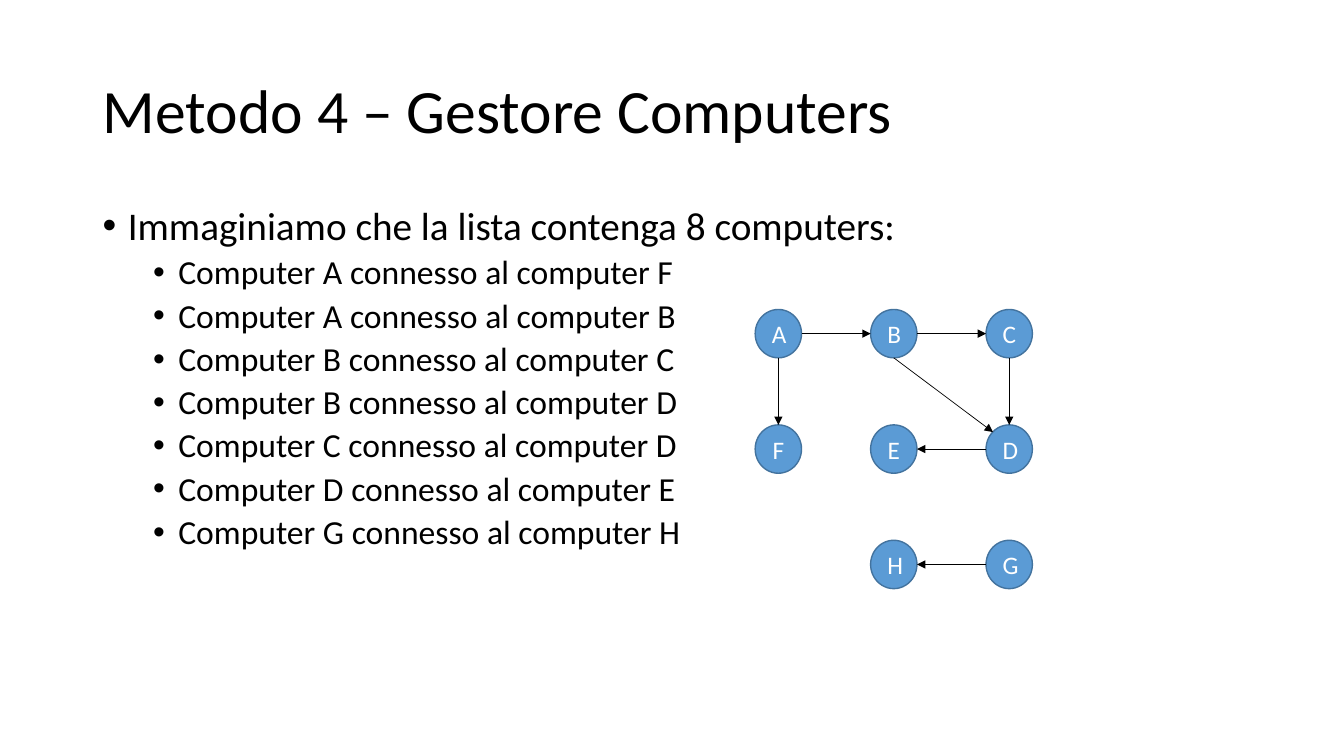
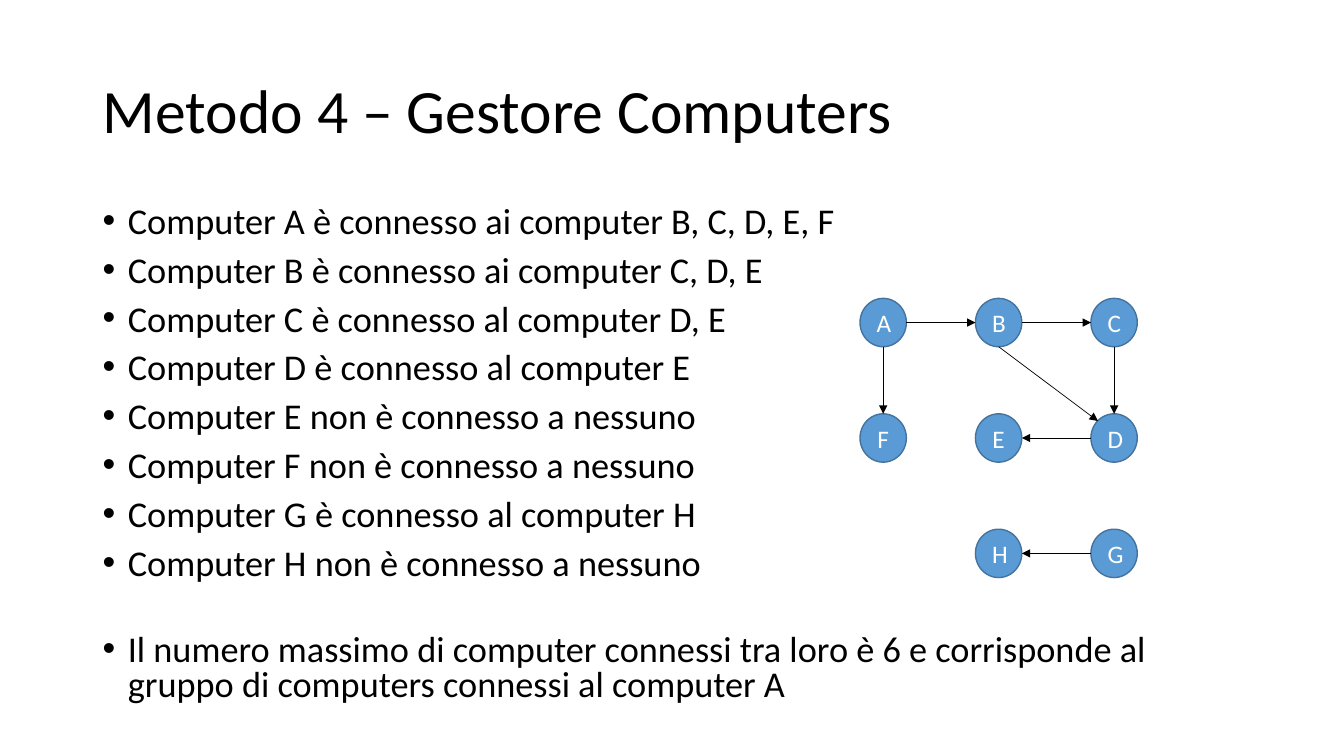
from lxml.etree import SubElement
from pptx import Presentation
from pptx.dml.color import RGBColor
from pptx.enum.shapes import MSO_CONNECTOR, MSO_SHAPE
from pptx.enum.text import MSO_ANCHOR, MSO_AUTO_SIZE, PP_ALIGN
from pptx.oxml.ns import qn
from pptx.util import Inches, Pt

BLACK = RGBColor(0x00, 0x00, 0x00)
WHITE = RGBColor(0xFF, 0xFF, 0xFF)
NODE_FILL = RGBColor(0x5B, 0x9B, 0xD5)
NODE_LINE = RGBColor(0x43, 0x73, 0x9E)
FONT = "Calibri"

TITLE = "Metodo 4 – Gestore Computers"
TITLE_BOX = (0.92, 0.4, 11.5, 1.45)
NODE_W, NODE_H = 0.46, 0.48
NODES = {"A": (0, 0), "B": (1, 0), "C": (2, 0),
         "F": (0, 1), "E": (1, 1), "D": (2, 1),
         "H": (1, 2), "G": (2, 2)}
SIDES = {"top": (0.5, 0), "left": (0, 0.5), "bottom": (0.5, 1),
         "right": (1, 0.5), "top_left": (0.15, 0.15)}
EDGES = [("A", "right", "B", "left"), ("B", "right", "C", "left"),
         ("A", "bottom", "F", "top"), ("B", "bottom", "D", "top_left"),
         ("C", "bottom", "D", "top"), ("D", "left", "E", "right"),
         ("G", "left", "H", "right")]

LINKS = ["AF", "AB", "BC", "BD", "CD", "DE", "GH"]
CONNECTIONS = [(0, "Immaginiamo che la lista contenga 8 computers:", 28, 10)] + [
    (1, f"Computer {a} connesso al computer {b}", 24, 5) for a, b in LINKS]
GROUPS = [(0, f"Computer {text}", 25.9, 10) for text in (
    "A è connesso ai computer B, C, D, E, F",
    "B è connesso ai computer C, D, E",
    "C è connesso al computer D, E",
    "D è connesso al computer E",
    "E non è connesso a nessuno",
    "F non è connesso a nessuno",
    "G è connesso al computer H",
    "H non è connesso a nessuno")] + [
    (0, "Il numero massimo di computer connessi tra loro è 6 e corrisponde "
        "al gruppo di computers connessi al computer A", 25.9, 36.5)]

SLIDES = [
    {"items": CONNECTIONS, "body": (0.92, 2, 11.5, 4.76), "spacing": 0.9,
     "graph": (7.49, 3.07, 2.75, 2.77)},
    {"items": GROUPS, "body": (0.92, 2, 11.5, 5.27), "spacing": 0.8,
     "graph": (8.53, 2.96, 2.75, 2.77)},
]


def apply(obj, values):
    """Set each attribute in values on obj."""
    for name, value in values.items():
        setattr(obj, name, value)


def add_run(p, text, size, color):
    """Add a formatted run to a paragraph."""
    r = p.add_run()
    r.text = text
    apply(r.font, {"name": FONT, "size": Pt(size)})
    r.font.color.rgb = color


def add_title(s, box):
    """Move, fill and format the title placeholder."""
    sp = s.shapes.title
    apply(sp, dict(zip(("left", "top", "width", "height"), map(Inches, box))))
    tf = sp.text_frame
    apply(tf, {"vertical_anchor": MSO_ANCHOR.MIDDLE, "word_wrap": True,
               "auto_size": MSO_AUTO_SIZE.NONE})
    p = tf.paragraphs[0]
    apply(p, {"alignment": PP_ALIGN.LEFT, "line_spacing": 0.9})
    add_run(p, TITLE, 44, BLACK)


def add_bullets(s, box, items, spacing):
    """Write the bulleted list in its box."""
    tf = s.shapes.add_textbox(*map(Inches, box)).text_frame
    tf.word_wrap = True
    for i, (level, text, size, before) in enumerate(items):
        p = tf.add_paragraph() if i else tf.paragraphs[0]
        apply(p, {"level": level, "line_spacing": spacing,
                  "space_before": Pt(before)})
        pPr = p._p.get_or_add_pPr()
        pPr.set("marL", str(Inches(0.25 + 0.5 * level)))
        pPr.set("indent", str(Inches(-0.25)))
        SubElement(pPr, qn("a:buFont"), typeface="Arial")
        SubElement(pPr, qn("a:buChar"), char="•")
        add_run(p, text, size, BLACK)


def add_node(s, name, x, y):
    """Draw one computer as a labelled ellipse."""
    sp = s.shapes.add_shape(MSO_SHAPE.OVAL, *map(Inches, (x, y, NODE_W, NODE_H)))
    sp.shadow.inherit = False
    sp.fill.solid()
    sp.fill.fore_color.rgb = NODE_FILL
    sp.line.color.rgb = NODE_LINE
    sp.line.width = Pt(1)
    sp.text_frame.vertical_anchor = MSO_ANCHOR.MIDDLE
    p = sp.text_frame.paragraphs[0]
    p.alignment = PP_ALIGN.CENTER
    add_run(p, name, 18, WHITE)


def add_arrow(s, start, end):
    """Draw a thin arrow between two points."""
    c = s.shapes.add_connector(MSO_CONNECTOR.STRAIGHT, *map(Inches, start + end))
    c.line.color.rgb = BLACK
    c.line.width = Pt(0.5)
    spPr = c.element.spPr
    SubElement(spPr.find(qn("a:ln")), qn("a:tailEnd"), type="triangle")
    SubElement(spPr, qn("a:effectLst"))


def add_graph(s, box):
    """Lay the computers on a 3 by 3 grid in the box and link them."""
    left, top, width, height = box
    dx, dy = (width - NODE_W) / 2, (height - NODE_H) / 2
    places = {name: (left + col * dx, top + row * dy)
              for name, (col, row) in NODES.items()}

    def anchor(name, side):
        """Return the point on the given side of a node."""
        (x, y), (fx, fy) = places[name], SIDES[side]
        return x + fx * NODE_W, y + fy * NODE_H

    for name, (x, y) in places.items():
        add_node(s, name, x, y)
    for source, out_side, target, in_side in EDGES:
        add_arrow(s, anchor(source, out_side), anchor(target, in_side))


def main():
    """Build and save the presentation."""
    prs = Presentation()
    apply(prs, {"slide_width": Inches(13.33), "slide_height": Inches(7.5)})
    for content in SLIDES:
        s = prs.slides.add_slide(prs.slide_layouts[5])
        add_title(s, TITLE_BOX)
        add_bullets(s, content["body"], content["items"], content["spacing"])
        add_graph(s, content["graph"])
    prs.save("out.pptx")


if __name__ == "__main__":
    main()
